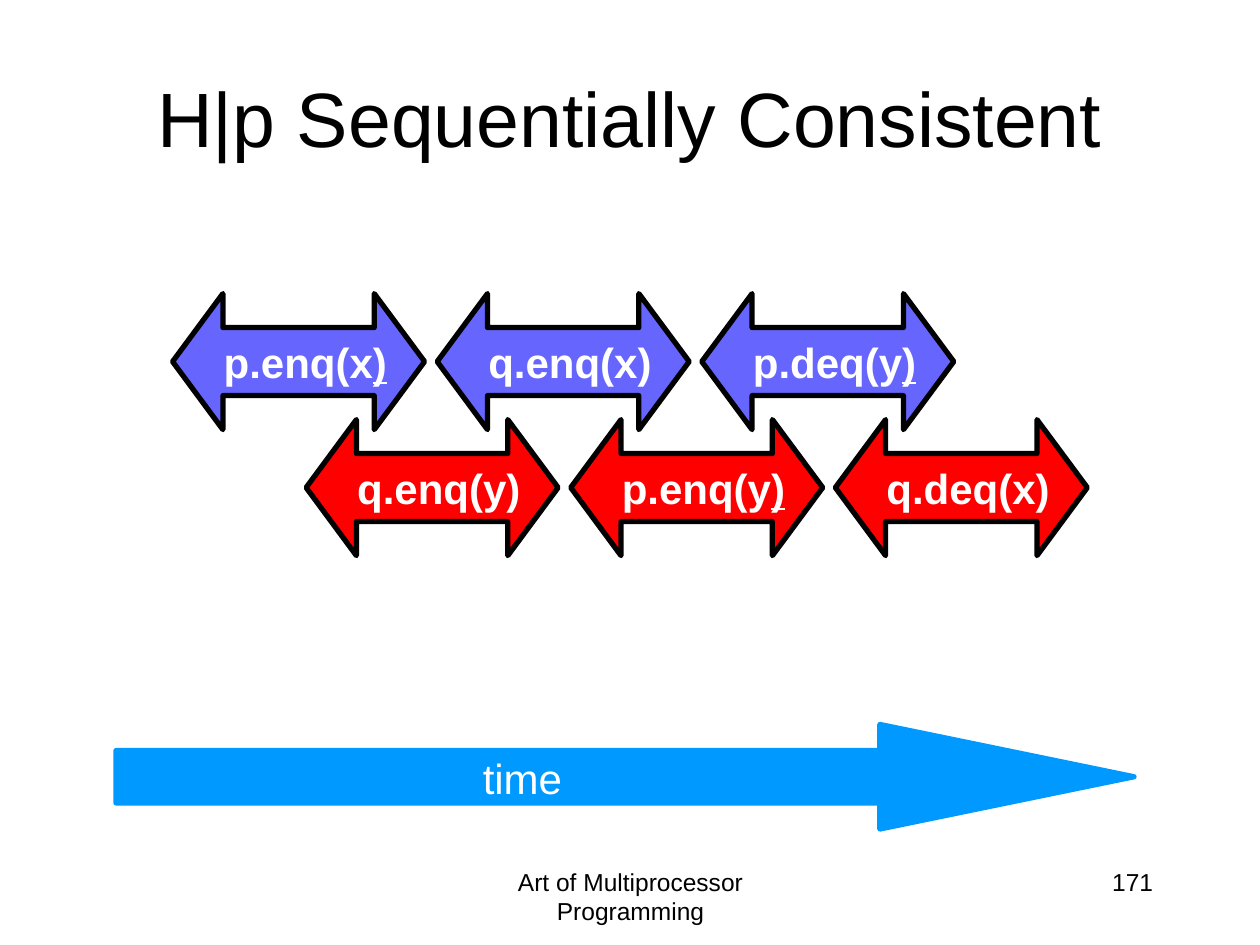
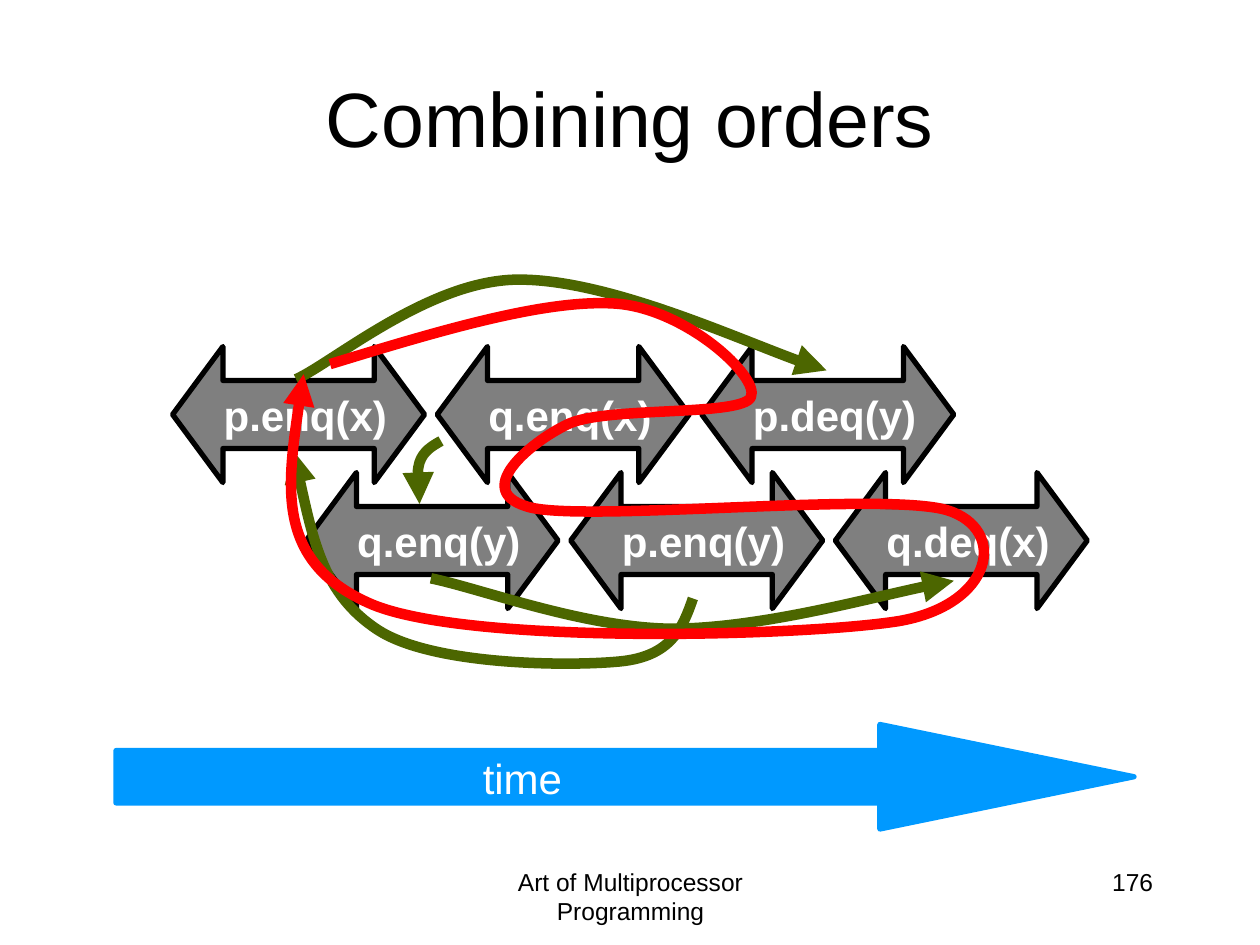
from lxml import etree
from pptx import Presentation
from pptx.dml.color import RGBColor
from pptx.enum.shapes import MSO_SHAPE
from pptx.enum.text import MSO_ANCHOR, MSO_AUTO_SIZE, PP_ALIGN
from pptx.oxml.ns import qn
from pptx.util import Inches, Pt

DOUBLE_ARROW, RIGHT_ARROW = MSO_SHAPE.LEFT_RIGHT_ARROW, MSO_SHAPE.RIGHT_ARROW
MIDDLE, TOP = MSO_ANCHOR.MIDDLE, MSO_ANCHOR.TOP
CENTER, RIGHT = PP_ALIGN.CENTER, PP_ALIGN.RIGHT
GROW = MSO_AUTO_SIZE.SHAPE_TO_FIT_TEXT

COLORS = {
    "black": "000000", "white": "FFFFFF", "blue": "6666FF", "red": "FF0000",
    "gray": "7F7F7F", "sky": "0099FF", "olive": "4C6600",
}
TITLE_FONT = {"name": "Arial", "size": Pt(44), "bold": False}
FOOTER_FONT = {"name": "Arial", "size": Pt(14)}
CALL_FONT = {"name": "Arial", "size": Pt(24), "bold": True}
TIME_FONT = {"name": "Arial", "size": Pt(24)}

CALL_SIZE = (2, 1.08)
CALL_PITCH = 2.1
ROW_PITCH = 1
ROW_LEFTS = (1.37, 2.43)
CALL_ROWS = (
    ("p.enq(x)", "q.enq(x)", "p.deq(y)"),
    ("q.enq(y)", "p.enq(y)", "q.deq(x)"),
)

ORDER_CURVES = (
    ("olive", "headEnd", [
        (3.33, 4), (3.32, 3.88), (3.31, 3.75), (3.33, 3.67),
        (3.36, 3.58), (3.43, 3.54), (3.5, 3.5)]),
    ("olive", "headEnd", [
        (7.57, 4.61), (7.19, 4.67), (6.01, 4.99), (5.32, 4.99),
        (4.63, 4.98), (3.81, 4.67), (3.42, 4.59)]),
    ("olive", "headEnd", [
        (6.56, 2.94), (6.15, 2.82), (4.8, 2.21), (4.1, 2.22),
        (3.4, 2.23), (2.64, 2.88), (2.35, 3.01)]),
    ("olive", "headEnd", [
        (2.33, 3.58), (2.45, 4.15), (2.57, 4.72), (3, 5),
        (3.43, 5.28), (4.5, 5.29), (4.92, 5.25),
        (5.33, 5.21), (5.42, 4.98), (5.5, 4.75)]),
    ("red", "tailEnd", [
        (2.62, 2.89), (3.47, 2.63), (4.33, 2.37), (4.89, 2.41),
        (5.44, 2.45), (6.03, 2.99), (5.96, 3.15),
        (5.9, 3.31), (4.79, 3.22), (4.5, 3.37),
        (4.21, 3.51), (3.72, 3.91), (4.22, 4.03),
        (4.72, 4.14), (7.03, 3.9), (7.52, 4.05),
        (8, 4.2), (7.89, 4.8), (7.13, 4.93),
        (6.37, 5.05), (3.75, 5.12), (2.96, 4.8),
        (2.18, 4.47), (2.29, 3.72), (2.41, 2.97)]),
)


def rgb(color):
    return RGBColor.from_string(COLORS[color])


def set_values(target, values):
    for name, value in values.items():
        setattr(target, name, value)


def inches(box):
    return [Inches(length) for length in box]


def write_text(shape, texts, font, color, align, anchor=TOP, wrap=True):
    frame = shape.text_frame
    set_values(frame, {"word_wrap": wrap, "vertical_anchor": anchor})
    para = frame.paragraphs[0]
    para.alignment = align
    for text in texts:
        span = para.add_run()
        span.text = text
        set_values(span.font, font)
        span.font.color.rgb = rgb(color)
    return para


def style_line(shape, color, points):
    shape.shadow.inherit = False
    shape.line.color.rgb = rgb(color)
    shape.line.width = Pt(points)


def add_block_arrow(shapes, kind, box, head, fill, line):
    arrow = shapes.add_shape(kind, *inches(box))
    arrow.adjustments[0] = 0.5
    arrow.adjustments[1] = head
    arrow.fill.solid()
    arrow.fill.fore_color.rgb = rgb(fill)
    style_line(arrow, line, 3)
    return arrow


def add_call(page, box, call, fill, underlined):
    arrow = add_block_arrow(page.shapes, DOUBLE_ARROW, box, 0.37, fill, "black")
    set_values(arrow.text_frame, {
        "margin_left": Inches(0.1), "margin_right": Inches(0.1),
        "margin_top": Inches(0.05), "margin_bottom": Inches(0.05)})
    texts = (call[:-1], call[-1]) if underlined else (call,)
    para = write_text(arrow, texts, CALL_FONT, "white", RIGHT, MIDDLE, False)
    if underlined:
        para.runs[-1].font.underline = True


def add_history(page, top, fills, underlined_queue=None):
    for row, (calls, left, fill) in enumerate(zip(CALL_ROWS, ROW_LEFTS, fills)):
        for column, call in enumerate(calls):
            box = (left + column * CALL_PITCH, top + row * ROW_PITCH, *CALL_SIZE)
            add_call(page, box, call, fill, call[0] == underlined_queue)


def add_time_arrow(page, box):
    left, top, width, height = box
    group = page.shapes.add_group_shape()
    add_block_arrow(group.shapes, RIGHT_ARROW, box, 2.43, "sky", "sky")
    label = group.shapes.add_textbox(*inches((left + 2.81, top + 0.17, 0.83, 0.5)))
    write_text(label, ("time",), TIME_FONT, "white", RIGHT, wrap=False)
    label.text_frame.auto_size = GROW


def add_curve(page, color, arrow_end, points):
    start, *rest = [inches(point) for point in points]
    builder = page.shapes.build_freeform(*start)
    builder.add_line_segments(rest, close=False)
    curve = builder.convert_to_shape()
    curve.fill.background()
    style_line(curve, color, 6)
    route = next(curve.element.iter(qn("a:path")))
    segments = route.findall(qn("a:lnTo"))
    for first in range(0, len(segments), 3):
        bend = etree.SubElement(route, qn("a:cubicBezTo"))
        for segment in segments[first:first + 3]:
            bend.append(segment[0])
            route.remove(segment)
    outline = curve.line._get_or_add_ln()
    etree.SubElement(outline, qn("a:" + arrow_end), type="triangle")


def add_footer(page, number):
    for text, box, align in (
        ("Art of Multiprocessor Programming", (3.42, 6.83, 3.17, 0.5), CENTER),
        (str(number), (7.17, 6.83, 2.08, 0.5), RIGHT),
    ):
        footer = page.shapes.add_textbox(*inches(box))
        write_text(footer, (text,), FOOTER_FONT, "black", align)


def add_page(deck, title, number):
    page = deck.slides.add_slide(deck.slide_layouts[5])
    heading = page.shapes.title
    box = inches((0.5, 0.3, 9, 1.25))
    set_values(heading, dict(zip(("left", "top", "width", "height"), box)))
    write_text(heading, (title,), TITLE_FONT, "black", CENTER, MIDDLE)
    add_footer(page, number)
    add_time_arrow(page, (0.92, 5.75, 8.08, 0.83))
    return page


def add_consistency_page(deck):
    page = add_page(deck, "H|p Sequentially Consistent", 171)
    add_history(page, 2.33, ("blue", "red"), underlined_queue="p")


def add_orders_page(deck):
    page = add_page(deck, "Combining orders", 176)
    add_history(page, 2.75, ("gray", "gray"))
    for color, arrow_end, points in ORDER_CURVES:
        add_curve(page, color, arrow_end, points)


def main():
    deck = Presentation()
    set_values(deck, {"slide_width": Inches(10), "slide_height": Inches(7.5)})
    add_consistency_page(deck)
    add_orders_page(deck)
    deck.save("out.pptx")


if __name__ == "__main__":
    main()
